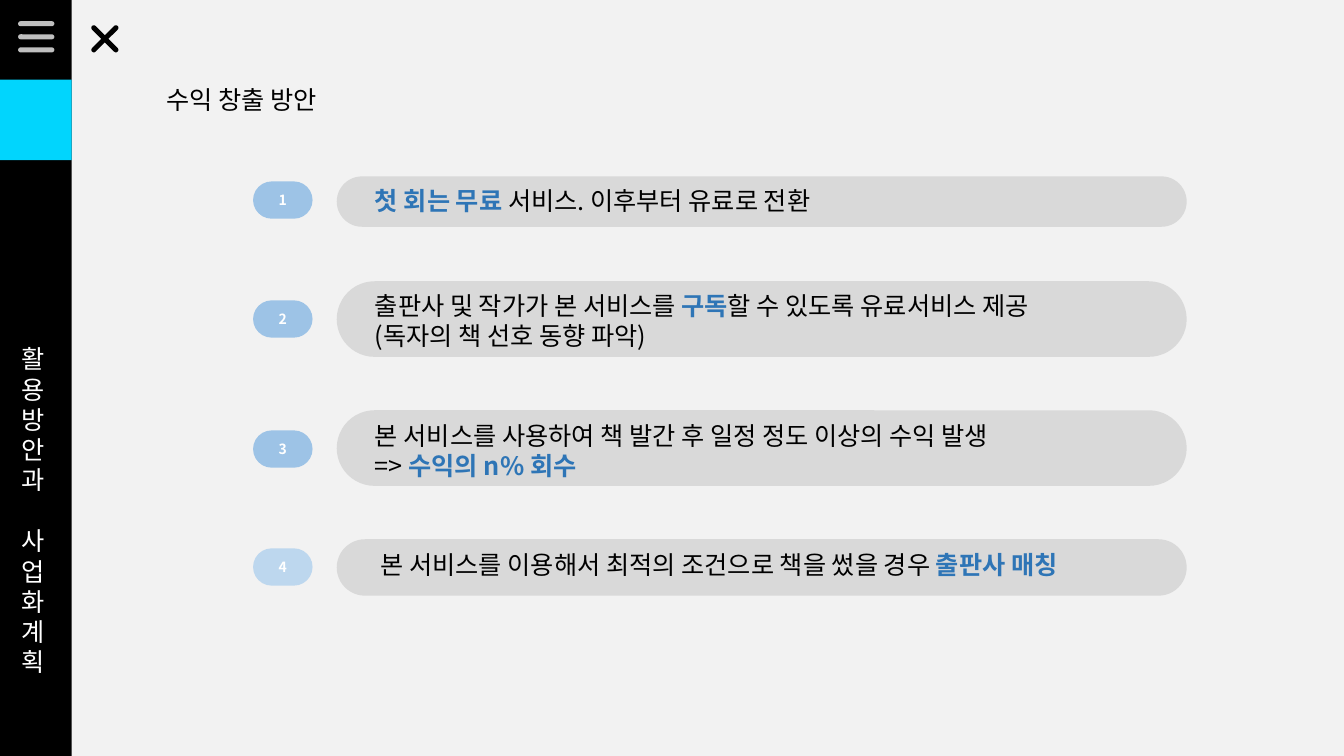
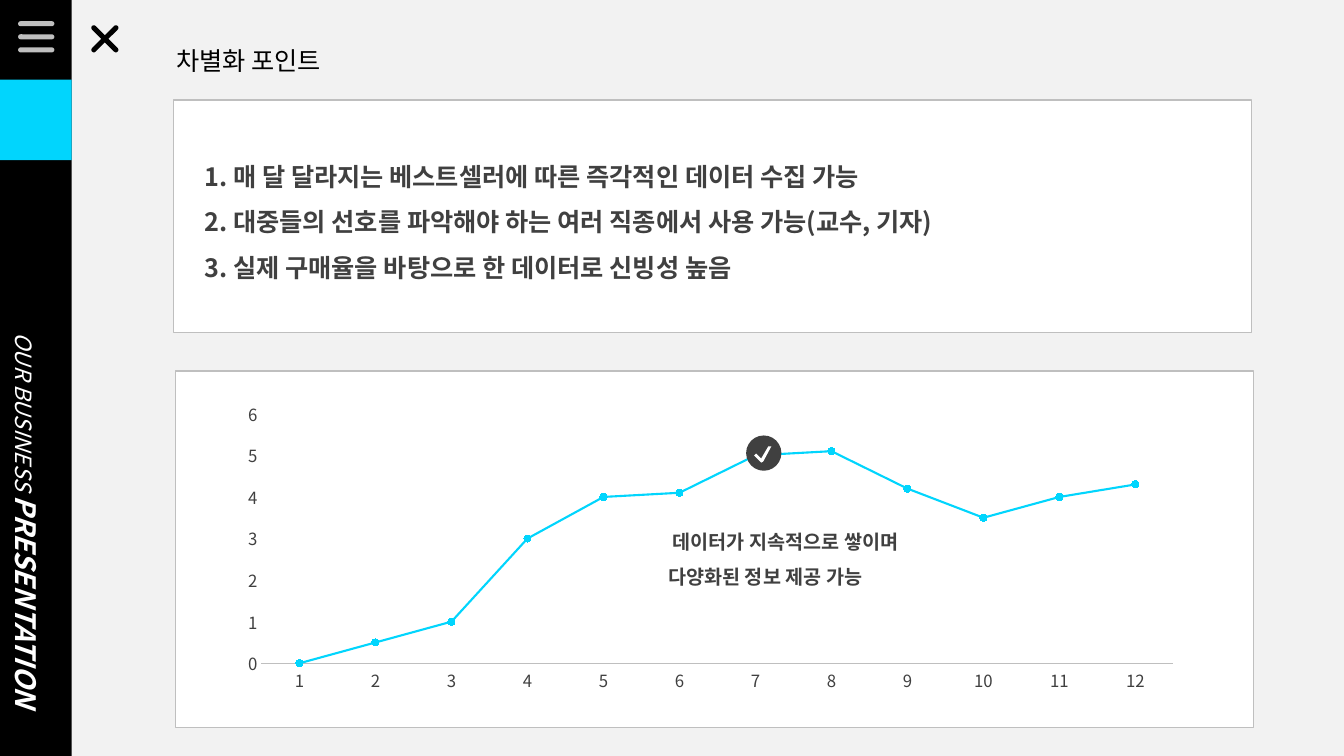
"""Build two slides on earning plans and points of difference."""
from lxml import etree
from pptx import Presentation
from pptx.chart.data import CategoryChartData
from pptx.dml.color import RGBColor
from pptx.enum.chart import XL_CHART_TYPE, XL_MARKER_STYLE, XL_TICK_MARK
from pptx.enum.shapes import MSO_SHAPE
from pptx.enum.text import MSO_ANCHOR, PP_ALIGN
from pptx.oxml.ns import qn
from pptx.util import Inches, Pt

RECT, PILL, OVAL = MSO_SHAPE.RECTANGLE, MSO_SHAPE.ROUNDED_RECTANGLE, MSO_SHAPE.OVAL
LINE = XL_CHART_TYPE.LINE_MARKERS
DOT = XL_MARKER_STYLE.CIRCLE
NONE = XL_TICK_MARK.NONE
LEFT, MID = PP_ALIGN.LEFT, PP_ALIGN.CENTER
CENTER = MSO_ANCHOR.MIDDLE
FONT = "Noto Sans CJK KR"
HEX = {
    "page": "F2F2F2", "black": "000000", "white": "FFFFFF", "cyan": "01D5FD",
    "rule": "BFBFBF", "bar": "D9D9D9", "blue": "2E75B6", "badge": "9DC3E6",
    "pale": "BDD7EE", "dark": "404040",
}
RGB = {name: RGBColor.from_string(code) for name, code in HEX.items()}


def draw(slide, kind, at, fill, line=None, turn=0):
    shape = slide.shapes.add_shape(kind, *map(Inches, at))
    shape.shadow.inherit = False
    shape.rotation = turn
    shape.fill.solid()
    shape.fill.fore_color.rgb = RGB[fill]
    if line:
        shape.line.color.rgb = RGB[line]
        shape.line.width = Pt(1)
    else:
        shape.line.fill.background()
    if kind == PILL:
        shape.adjustments[0] = 0.5
    return shape


def write(shape, lines, size=18, color="black", bold=False, align=LEFT, space=1.0):
    frame = shape.text_frame
    frame.word_wrap = True
    for num, line in enumerate(lines):
        para = frame.add_paragraph() if num else frame.paragraphs[0]
        para.alignment = align
        para.line_spacing = space
        for text, *key in [(line,)] if isinstance(line, str) else line:
            run = para.add_run()
            run.text = text
            font = run.font
            font.name, font.size = FONT, Pt(size)
            font.bold = bold or bool(key)
            font.color.rgb = RGB[key[0] if key else color]
            latin = font._element.find(qn("a:latin"))
            east = etree.Element(qn("a:ea"), typeface=FONT)
            latin.addnext(east)
    return frame


deck = Presentation()
deck.slide_width, deck.slide_height = Inches(13.33), Inches(7.5)
blank = deck.slide_layouts[6]

pages = []
for title, left, top in [("수익 창출 방안", 1.55, 0.79), ("차별화 포인트", 1.65, 0.4)]:
    slide = deck.slides.add_slide(blank)
    slide.background.fill.solid()
    slide.background.fill.fore_color.rgb = RGB["page"]
    draw(slide, RECT, (0, 0, 0.71, 7.5), "black")
    draw(slide, RECT, (0, 0.79, 0.71, 0.8), "cyan")
    for row in range(3):
        draw(slide, PILL, (0.18, 0.21 + 0.13 * row, 0.36, 0.05), "rule")
    for turn in (45, 135):
        draw(slide, PILL, (0.86, 0.36, 0.36, 0.05), "black", turn=turn)
    box = slide.shapes.add_textbox(*map(Inches, (left, top, 2.2, 0.4)))
    write(box, [title])
    pages.append(slide)
plan, edge = pages

side = plan.shapes.add_textbox(*map(Inches, (0.12, 3.36, 0.53, 3.43)))
frame = write(side, ["활용방안과", "사업화 계획"], color="white")
frame.paragraphs[1].space_before = Pt(22)

items = [
    (1.8, 1.75, 0.5, 1.79, "badge",
     [[("첫 회는 무료 ", "blue"), ("서비스. 이후부터 유료로 전환",)]]),
    (2.98, 2.79, 0.75, 2.83, "badge",
     [[("출판사 및 작가가 본 서비스를 ",), ("구독", "blue"),
       ("할 수 있도록 유료서비스 제공",)],
      "(독자의 책 선호 동향 파악)"]),
    (4.27, 4.07, 0.75, 4.12, "badge",
     ["본 서비스를 사용하여 책 발간 후 일정 정도 이상의 수익 발생",
      [("=> ",), ("수익의 n% 회수", "blue")]]),
    (5.44, 5.35, 0.56, 5.4, "pale",
     [[(" 본 서비스를 이용해서 최적의 조건으로 책을 썼을 경우 ",),
       ("출판사 매칭", "blue")]]),
]
for num, (spot, top, tall, head, fill, lines) in enumerate(items, 1):
    badge = draw(plan, PILL, (2.51, spot, 0.59, 0.37), fill)
    frame = write(badge, [str(num)], 10, "white", True, MID)
    frame.vertical_anchor = CENTER
    draw(plan, PILL, (3.34, top, 8.43, tall), "bar")
    box = plan.shapes.add_textbox(*map(Inches, (3.62, head, 7.35, 0.4 * len(lines))))
    write(box, lines)

draw(edge, RECT, (1.72, 0.99, 10.69, 2.31), "white", "rule")
points = edge.shapes.add_textbox(*map(Inches, (1.93, 1.4, 10.31, 1.46)))
write(points, [
    "1. 매 달 달라지는 베스트셀러에 따른 즉각적인 데이터 수집 가능",
    "2. 대중들의 선호를 파악해야 하는 여러 직종에서 사용 가능(교수, 기자)",
    "3. 실제 구매율을 바탕으로 한 데이터로 신빙성 높음",
], color="dark", bold=True, space=1.5)

side = edge.shapes.add_textbox(*map(Inches, (-1.87, 4.89, 4.5, 0.54)))
side.rotation = 90
frame = write(side, [[("OUR BUSINESS ",), ("PRESENTATION", "white")]], 16, "white",
              align=MID, space=1.5)
runs = frame.paragraphs[0].runs
for run in runs:
    run.font.italic = True
runs[1].font.size = Pt(20)

draw(edge, RECT, (1.74, 3.68, 10.69, 3.54), "white", "rule")
data = CategoryChartData()
data.categories = [str(num) for num in range(1, 13)]
data.add_series("Series 1", (0, 0.5, 1, 3, 4, 4.1, 5, 5.1, 4.2, 3.5, 4, 4.3))
place = map(Inches, (2.27, 3.92, 9.56, 3.01))
chart = edge.shapes.add_chart(LINE, *place, data).chart
chart.has_legend = chart.has_title = False
chart.font.name, chart.font.size = FONT, Pt(10)
for axis in (chart.category_axis, chart.value_axis):
    axis.has_major_gridlines = False
    axis.major_tick_mark = axis.minor_tick_mark = NONE
    font = axis.tick_labels.font
    font.name, font.size = FONT, Pt(12)
    font.color.rgb = RGB["dark"]
base = chart.category_axis.format.line
base.color.rgb, base.width = RGB["rule"], Pt(0.75)
scale = chart.value_axis
scale.format.line.fill.background()
scale.minimum_scale, scale.maximum_scale, scale.major_unit = 0, 6, 1
chart.plots[0].vary_by_categories = False
trend = chart.plots[0].series[0]
trend.smooth = False
trend.format.line.color.rgb, trend.format.line.width = RGB["cyan"], Pt(1.5)
trend.marker.style, trend.marker.size = DOT, 5
trend.marker.format.fill.solid()
trend.marker.format.fill.fore_color.rgb = RGB["cyan"]
trend.marker.format.line.color.rgb = RGB["cyan"]

draw(edge, OVAL, (7.4, 4.32, 0.35, 0.35), "dark")
marks = [(7.48, 4.52), (7.5, 4.5), (7.55, 4.55), (7.62, 4.43), (7.65, 4.43),
         (7.57, 4.58), (7.55, 4.59), (7.54, 4.58)]
marks = [(Inches(x), Inches(y)) for x, y in marks]
form = edge.shapes.build_freeform(*marks[0])
form.add_line_segments(marks[1:], close=True)
check = form.convert_to_shape()
check.shadow.inherit = False
check.fill.solid()
check.fill.fore_color.rgb = RGB["white"]
check.line.fill.background()

note = edge.shapes.add_textbox(*map(Inches, (6.53, 5.09, 3.56, 0.81)))
write(note, [" 데이터가 지속적으로 쌓이며", "다양화된 정보 제공 가능"], 14, "dark", True,
      space=1.5)

deck.save("out.pptx")
